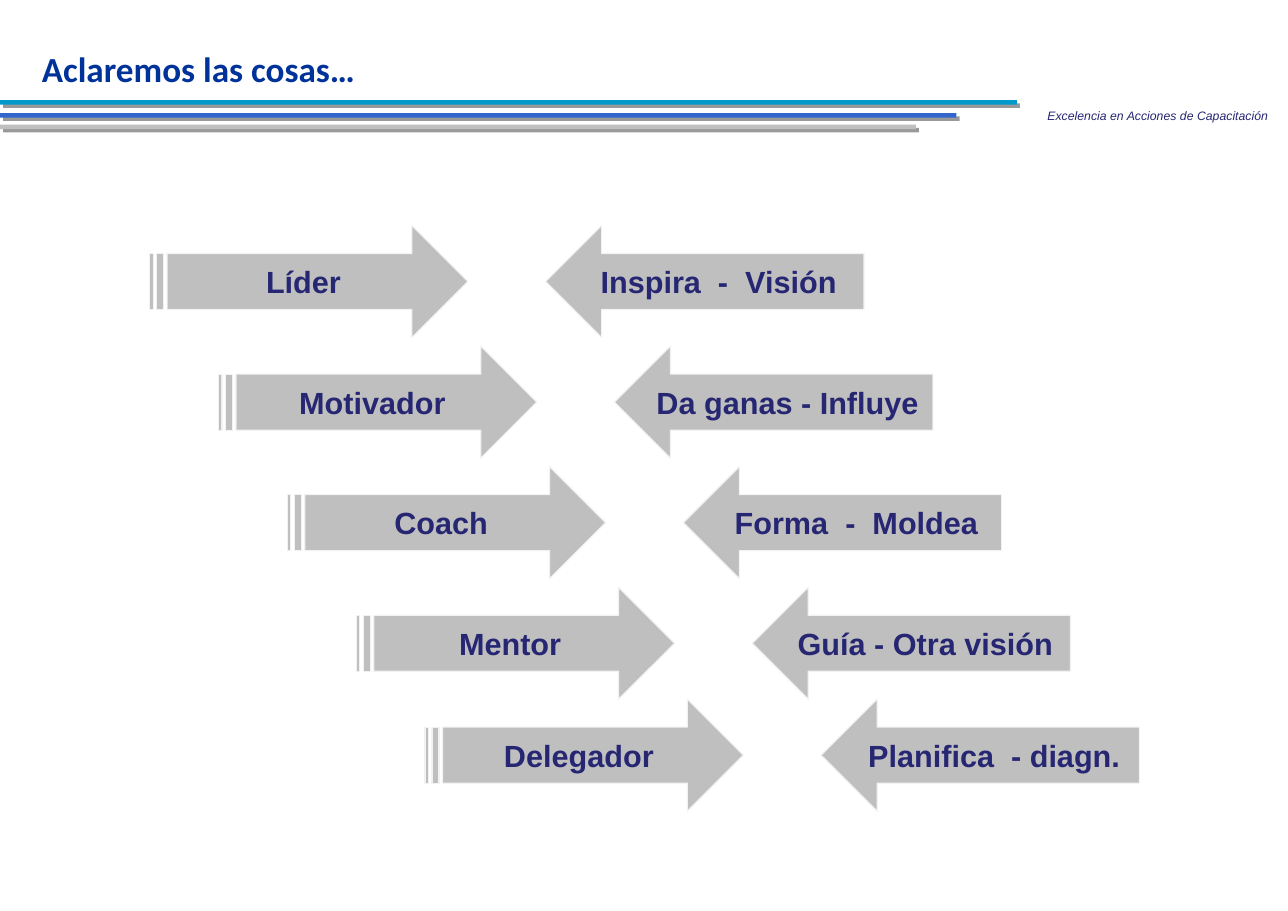
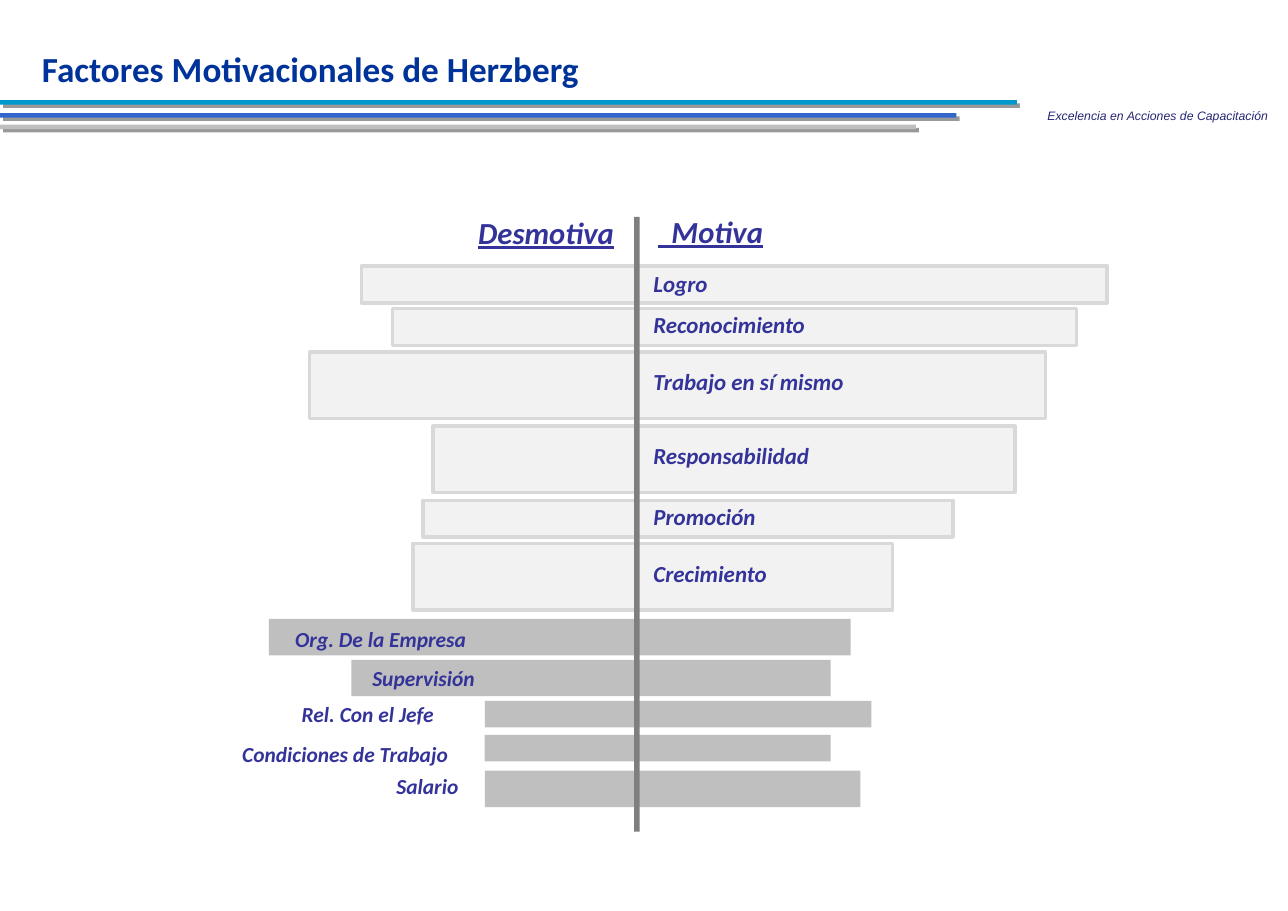
"""Build two training slides: leadership roles and Herzberg's motivation factors."""
import pptx
import pptx.dml.color
import pptx.enum.shapes
import pptx.enum.text
import pptx.oxml
import pptx.util

Pt = pptx.util.Pt
ShapeType = pptx.enum.shapes.MSO_SHAPE
Align = pptx.enum.text.PP_ALIGN
Anchor = pptx.enum.text.MSO_ANCHOR

TITLE_BLUE = "003399"
NAVY = "262673"
INDIGO = "333399"
SILVER = "BFBFBF"
PALE = "F2F2F2"
PALE_EDGE = "D9D9D9"
AXIS_GRAY = "7F7F7F"

BANDS = [(65.5, 664.5, "0099CC"), (74, 625, "3366CC"), (81.5, 598.5, SILVER)]
BAND_HEIGHT = 3
BAND_SHADOW = (
    '<a:effectLst xmlns:a="http://schemas.openxmlformats.org/drawingml/2006/main">'
    '<a:outerShdw dist="38100" dir="2700000" algn="tl" rotWithShape="0">'
    '<a:srgbClr val="000000"><a:alpha val="40000"/></a:srgbClr>'
    "</a:outerShdw></a:effectLst>"
)

ROLES = [
    ("Líder", "Inspira  -  Visión", 147.4),
    ("Motivador", "Da ganas - Influye", 226.3),
    ("Coach", "Forma  -  Moldea", 305),
    ("Mentor", "Guía - Otra visión", 383.9),
    ("Delegador", "Planifica  - diagn.", 457),
]
ROLE_LEFT, MEANING_LEFT, ROLE_STEP = 97.8, 356.6, 45
ARROW_WIDTH, ARROW_HEIGHT = 208, 73.2

MOTIVATORS = [
    ("Logro", 176.4, (236.2, 174, 487.4, 24)),
    ("Reconocimiento", 203, (256.3, 201.8, 447.1, 24)),
    ("Trabajo en sí mismo", 240.5, (202.3, 230.2, 481, 43.5)),
    ("Responsabilidad", 288.7, (283, 278.5, 380.2, 43.5)),
    ("Promoción", 328.3, (276.5, 327, 346.3, 24)),
    ("Crecimiento", 365.8, (270, 355.2, 313.2, 43.5)),
]
HYGIENE_FACTORS = [
    ("Org. De la Empresa", (185.8, 405.4), (175.7, 404.6, 380.2, 23.8)),
    ("Supervisión", (236.2, 431.3), (229.7, 431.3, 313.2, 23.8)),
    ("Rel. Con el Jefe", (190.1, 455), (316.8, 458.2, 252.7, 17.3)),
    ("Condiciones de Trabajo", (151.2, 481), (316.8, 480.4, 226.1, 17.3)),
    ("Salario", (252, 501.8), (316.8, 503.8, 245.5, 23.8)),
]


def color(value):
    """Turn a hex string into a colour."""
    return pptx.dml.color.RGBColor.from_string(value)


def write(shape, text, size, value, font="Calibri", italic=False, align=Align.LEFT, insets=(7.2, 3.6)):
    """Write one styled paragraph in a shape and return it."""
    frame = shape.text_frame
    frame.word_wrap = True
    frame.margin_left = frame.margin_right = Pt(insets[0])
    frame.margin_top = frame.margin_bottom = Pt(insets[1])
    paragraph = frame.paragraphs[0]
    paragraph.text = text
    paragraph.alignment = align
    paragraph.font.name = font
    paragraph.font.size = Pt(size)
    paragraph.font.color.rgb = color(value)
    paragraph.font.bold = font == "Calibri"
    paragraph.font.italic = italic
    return paragraph


def add_text(slide, box, text, size, value, **style):
    """Add a text box and return its paragraph."""
    return write(slide.shapes.add_textbox(*map(Pt, box)), text, size, value, **style)


def add_block(slide, kind, box, fill, edge=None, edge_width=0.75):
    """Add a flat preset shape with an optional outline."""
    shape = slide.shapes.add_shape(kind, *map(Pt, box))
    shape.shadow.inherit = False
    shape.fill.solid()
    shape.fill.fore_color.rgb = color(fill)
    if edge:
        shape.line.color.rgb = color(edge)
        shape.line.width = Pt(edge_width)
    else:
        shape.line.fill.background()
    return shape


def add_band(slide, top, width, fill):
    """Add a header band with a hard offset shadow."""
    band = add_block(slide, ShapeType.RECTANGLE, (0, top, width, BAND_HEIGHT), fill)
    properties = band.element.spPr
    properties.remove(band.element.xpath("./p:spPr/a:effectLst")[0])
    properties.append(pptx.oxml.parse_xml(BAND_SHADOW))


def add_arrow(slide, kind, left, top, text):
    """Add a labelled arrow."""
    arrow = add_block(slide, kind, (left, top, ARROW_WIDTH, ARROW_HEIGHT), SILVER, PALE)
    paragraph = write(arrow, text, 20, NAVY, font="Arial", align=Align.CENTER)
    paragraph.font.bold = True
    arrow.text_frame.vertical_anchor = Anchor.MIDDLE


def add_heading(slide, box, text):
    """Add an underlined column heading."""
    paragraph = add_text(slide, box, text, 20, INDIGO, italic=True, insets=(0, 0))
    paragraph.font.underline = True


def add_slide(presentation, title):
    """Add a slide with the shared title, motto and bands."""
    slide = presentation.slides.add_slide(presentation.slide_layouts[6])
    heading = add_text(slide, (19.4, 18.7, 585.4, 44), title, 23, TITLE_BLUE, insets=(8, 4))
    heading.line_spacing = 1.3
    add_text(slide, (674.6, 67, 164.2, 18), "Excelencia en Acciones de Capacitación", 8, NAVY,
             font="Arial", italic=True, align=Align.CENTER, insets=(7.5, 4))
    for band in BANDS:
        add_band(slide, *band)
    return slide


def build_roles(presentation):
    """Build the staircase of roles and their meanings."""
    slide = add_slide(presentation, "Aclaremos las cosas…")
    for index, (role, meaning, top) in enumerate(ROLES):
        shift = index * ROLE_STEP
        add_arrow(slide, ShapeType.STRIPED_RIGHT_ARROW, ROLE_LEFT + shift, top, role)
        add_arrow(slide, ShapeType.LEFT_ARROW, MEANING_LEFT + shift, top, meaning)


def build_factors(presentation):
    """Build the motivation factors on both sides of an axis."""
    slide = add_slide(presentation, "Factores Motivacionales de Herzberg")
    for label, label_top, box in MOTIVATORS:
        add_block(slide, ShapeType.RECTANGLE, box, PALE, PALE_EDGE, 2.25)
        add_text(slide, (427, label_top, 148, 18), label, 15, INDIGO, italic=True, insets=(0, 0))
    for label, corner, box in HYGIENE_FACTORS:
        add_block(slide, ShapeType.RECTANGLE, box, SILVER)
        add_text(slide, (*corner, 196.6, 24.5), label, 14, INDIGO, italic=True)
    add_heading(slide, (312.5, 139.7, 96, 24), "Desmotiva")
    add_heading(slide, (429.8, 139, 80, 24), "  Motiva")
    add_block(slide, ShapeType.RECTANGLE, (414.4, 141.8, 3.6, 401.8), AXIS_GRAY)


def main():
    """Build and save the presentation."""
    presentation = pptx.Presentation()
    presentation.slide_width = Pt(841.68)
    presentation.slide_height = Pt(595.44)
    build_roles(presentation)
    build_factors(presentation)
    presentation.save("out.pptx")


if __name__ == "__main__":
    main()
